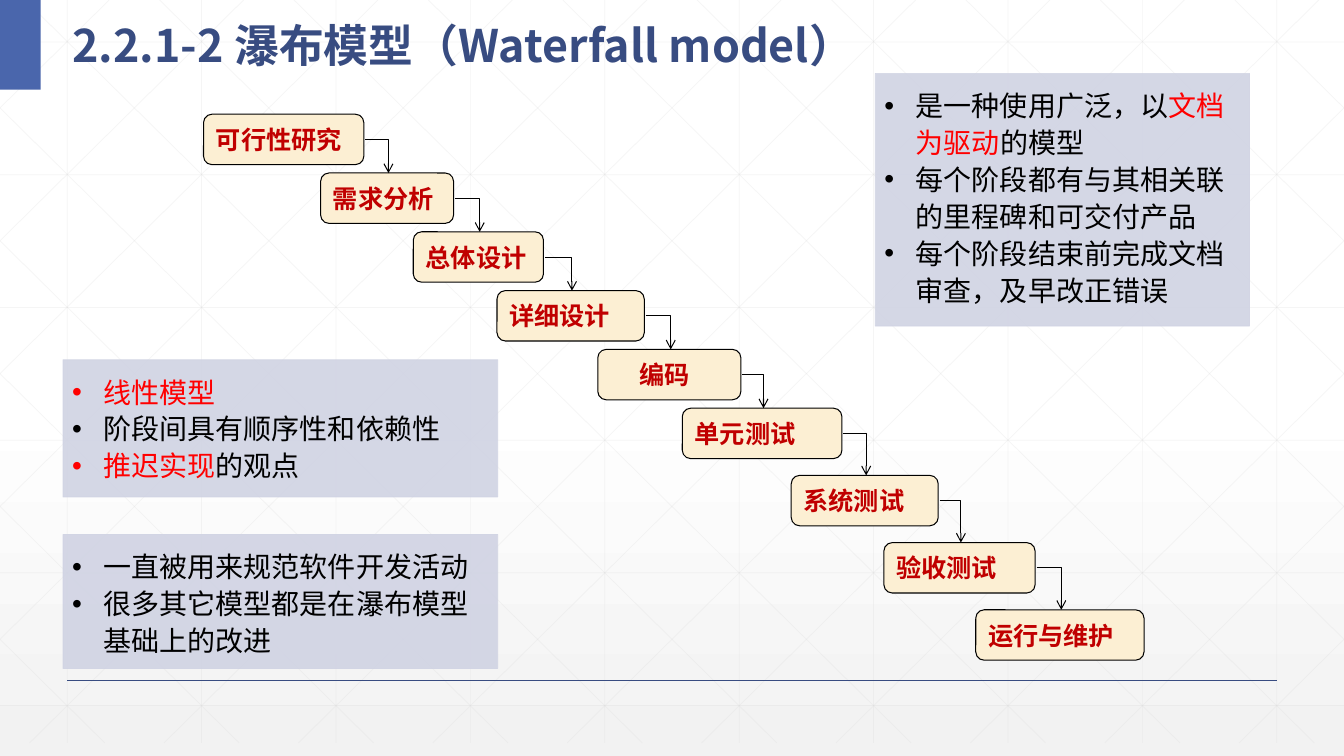
"""Build the waterfall model slide."""
from dataclasses import dataclass

from lxml import etree
from pptx import Presentation
from pptx import util as u
from pptx.dml import color
from pptx.enum import shapes, text
from pptx.oxml import ns


@dataclass(frozen=True)
class Theme:
    title: str = "384C81"
    accent: str = "4A66AC"
    grid: str = "D9D9D9"
    panel: str = "D0D3E3"
    step: str = "FCEFD3"
    step_text: str = "C00000"
    ink: str = "000000"
    highlight: str = "FF0000"
    backdrop: tuple = ((0, "FFFFFF"), (53, "FFFFFF"), (100, "F2F2F2"))
    title_size: float = 32
    step_size: float = 18
    list_size: float = 20
    list_leading: float = 26.4
    chinese: str = "Noto Sans CJK SC"
    step_font: str = "Times New Roman"
    list_font: str = "Arial"


@dataclass(frozen=True)
class Step:
    label: str
    left: float
    width: float
    indent: float = 0


@dataclass(frozen=True)
class Panel:
    left: float
    top: float
    width: float
    height: float
    font: str
    items: tuple


THEME = Theme()
WIDTH, HEIGHT = 960, 540
GRID_BOTTOM, GRID_GAP, DIAGONAL_RUN = 530.6, 96, 536.8
STEP_HEIGHT = 36

STEPS = (
    Step("可行性研究", 145.4, 114.5),
    Step("需求分析", 229, 95),
    Step("总体设计", 295.2, 93),
    Step("详细设计", 355, 105.2),
    Step("编码", 427, 102.2, 20.5),
    Step("单元测试", 487.4, 114),
    Step("系统测试", 565.2, 105),
    Step("验收测试", 631.4, 108),
    Step("运行与维护", 697, 120.2),
)

PANELS = (
    Panel(45, 257, 310.5, 98, THEME.chinese, (
        (("线性模型", THEME.highlight),),
        (("阶段间具有顺序性和依赖性", THEME.ink),),
        (("推迟实现", THEME.highlight), ("的观点", THEME.ink)),
    )),
    Panel(625.2, 52.4, 267.3, 180.5, THEME.list_font, (
        (("是一种使用广泛，以", THEME.ink), ("文档为驱动", THEME.highlight), ("的模型", THEME.ink)),
        (("每个阶段都有与其相关联的里程碑和可交付产品", THEME.ink),),
        (("每个阶段结束前完成文档审查，及早改正错误", THEME.ink),),
    )),
    Panel(45, 381.8, 310.5, 95.7, THEME.list_font, (
        (("一直被用来规范软件开发活动", THEME.ink),),
        (("很多其它模型都是在瀑布模型基础上的改进", THEME.ink),),
    )),
)


def rgb(value: str) -> color.RGBColor:
    return color.RGBColor.from_string(value)


def add_child(parent, tag: str, **attributes: str):
    return etree.SubElement(parent, ns.qn(tag), attributes)


def set_opacity(shape, percent: int) -> None:
    for node in shape.element.xpath("./p:spPr//a:srgbClr"):
        add_child(node, "a:alpha", val=str(percent * 1000))


def add_run(paragraph, words: str, size: float, ink: str, font: str, bold: bool) -> None:
    run = paragraph.add_run()
    run.text = words
    run.font.size, run.font.bold, run.font.name = u.Pt(size), bold, font
    run.font.color.rgb = rgb(ink)
    add_child(run.font._element, "a:ea", typeface=THEME.chinese)


def place(shape, left: float, top: float, width: float, height: float) -> None:
    shape.left, shape.top, shape.width, shape.height = map(u.Pt, (left, top, width, height))
    shape.element.getparent().append(shape.element)


def add_line(slide, start: tuple, end: tuple, ink: str, weight: float,
             kind=shapes.MSO_CONNECTOR.STRAIGHT):
    line = slide.shapes.add_connector(kind, *map(u.Pt, (*start, *end)))
    line.line.color.rgb, line.line.width = rgb(ink), u.Pt(weight)
    add_child(line.element.spPr, "a:effectLst")
    return line


def draw_backdrop(slide) -> None:
    fill = slide.background.fill
    fill.gradient()
    fill.gradient_angle = 270
    stops = slide.element.xpath(".//p:bg//a:gsLst")[0]
    for stop in list(stops):
        stops.remove(stop)
    for position, value in THEME.backdrop:
        stop = add_child(stops, "a:gs", pos=str(position * 1000))
        add_child(stop, "a:srgbClr", val=value)


def draw_grid(slide) -> None:
    ends = [((48 + GRID_GAP * i, 0), (48 + GRID_GAP * i, GRID_BOTTOM)) for i in range(10)]
    ends += [((0, 30 + 94.8 * i), (WIDTH, 30 + 94.8 * i)) for i in range(6)]
    slope = GRID_BOTTOM / DIAGONAL_RUN
    for i in range(-5, 10):
        origin = 18 + GRID_GAP * i
        left, right = max(origin, 0), min(origin + DIAGONAL_RUN, WIDTH)
        top, bottom = (left - origin) * slope, (right - origin) * slope
        ends.append(((left, top), (right, bottom)))
        ends.append(((WIDTH - left, top), (WIDTH - right, bottom)))
    for start, end in ends:
        set_opacity(add_line(slide, start, end, THEME.grid, 0.5), 25)


def draw_frame(slide) -> None:
    add_line(slide, (48, 486), (912, 486), THEME.title, 1)
    block = slide.shapes.add_shape(shapes.MSO_SHAPE.RECTANGLE, 0, 0, u.Pt(29), u.Pt(64))
    block.shadow.inherit = False
    block.fill.solid()
    block.fill.fore_color.rgb = rgb(THEME.accent)
    block.line.fill.background()


def write_title(title) -> None:
    place(title, 44.6, 0, 612, 52.6)
    frame = title.text_frame
    frame.auto_size, frame.word_wrap = text.MSO_AUTO_SIZE.NONE, True
    frame.vertical_anchor = text.MSO_ANCHOR.MIDDLE
    paragraph = frame.paragraphs[0]
    paragraph.alignment, paragraph.line_spacing = text.PP_ALIGN.LEFT, 1.3
    add_run(paragraph, "2.2.1-2 瀑布模型（Waterfall model）", THEME.title_size, THEME.title,
            THEME.chinese, True)


def step_top(index: int) -> float:
    return 81.6 + 42 * index + 6 * max(index - 5, 0)


def draw_step(slide, step: Step, top: float) -> None:
    box = slide.shapes.add_shape(shapes.MSO_SHAPE.ROUNDED_RECTANGLE,
                                 *map(u.Pt, (step.left, top, step.width, STEP_HEIGHT)))
    box.shadow.inherit = False
    box.fill.solid()
    box.fill.fore_color.rgb = rgb(THEME.step)
    box.line.color.rgb, box.line.width = rgb(THEME.ink), u.Pt(0.75)
    frame = box.text_frame
    frame.word_wrap, frame.vertical_anchor = True, text.MSO_ANCHOR.MIDDLE
    frame.margin_left = u.Pt(7.2 + step.indent)
    paragraph = frame.paragraphs[0]
    paragraph.alignment = text.PP_ALIGN.LEFT
    add_run(paragraph, step.label, THEME.step_size, THEME.step_text, THEME.step_font, True)


def draw_arrow(slide, step: Step, following: Step, top: float, next_top: float) -> None:
    start = (step.left + step.width + 1, top + STEP_HEIGHT / 2)
    end = (following.left + following.width / 2 + 1, next_top)
    arrow = add_line(slide, start, end, THEME.ink, 0.75, shapes.MSO_CONNECTOR.ELBOW)
    arrow.element.spPr.find(ns.qn("a:prstGeom")).set("prst", "bentConnector2")
    add_child(arrow.line._get_or_add_ln(), "a:tailEnd", type="arrow")


def write_panel(shape, panel: Panel) -> None:
    place(shape, panel.left, panel.top, panel.width, panel.height)
    shape.fill.solid()
    shape.fill.fore_color.rgb = rgb(THEME.panel)
    shape.line.color.rgb, shape.line.width = rgb(THEME.panel), u.Pt(0.5)
    set_opacity(shape, 90)
    frame = shape.text_frame
    frame.auto_size, frame.word_wrap = text.MSO_AUTO_SIZE.NONE, True
    frame.vertical_anchor = text.MSO_ANCHOR.TOP
    frame.margin_left, frame.margin_top = u.Pt(6.5), u.Pt(8.5)
    frame.margin_right, frame.margin_bottom = u.Pt(8.6), u.Pt(10)
    for index, item in enumerate(panel.items):
        paragraph = frame.add_paragraph() if index else frame.paragraphs[0]
        properties = paragraph._p.get_or_add_pPr()
        properties.set("marL", str(u.Pt(22.5)))
        properties.set("indent", str(u.Pt(-22.5)))
        add_child(properties, "a:buFont", typeface=THEME.list_font)
        add_child(properties, "a:buChar", char="•")
        paragraph.alignment = text.PP_ALIGN.LEFT
        paragraph.line_spacing = u.Pt(THEME.list_leading)
        paragraph.space_before = paragraph.space_after = u.Pt(0)
        for words, ink in item:
            add_run(paragraph, words, THEME.list_size, ink, panel.font, False)


def main() -> None:
    presentation = Presentation()
    presentation.slide_width, presentation.slide_height = u.Pt(WIDTH), u.Pt(HEIGHT)
    slide = presentation.slides.add_slide(presentation.slide_layouts.get_by_name("Comparison"))
    title, *bodies, spare = slide.placeholders
    spare.element.getparent().remove(spare.element)
    draw_backdrop(slide)
    draw_grid(slide)
    draw_frame(slide)
    write_title(title)
    for index, step in enumerate(STEPS):
        draw_step(slide, step, step_top(index))
    for index, (step, following) in enumerate(zip(STEPS, STEPS[1:])):
        draw_arrow(slide, step, following, step_top(index), step_top(index + 1))
    for body, panel in zip(bodies, PANELS):
        write_panel(body, panel)
    presentation.save("out.pptx")


if __name__ == "__main__":
    main()
